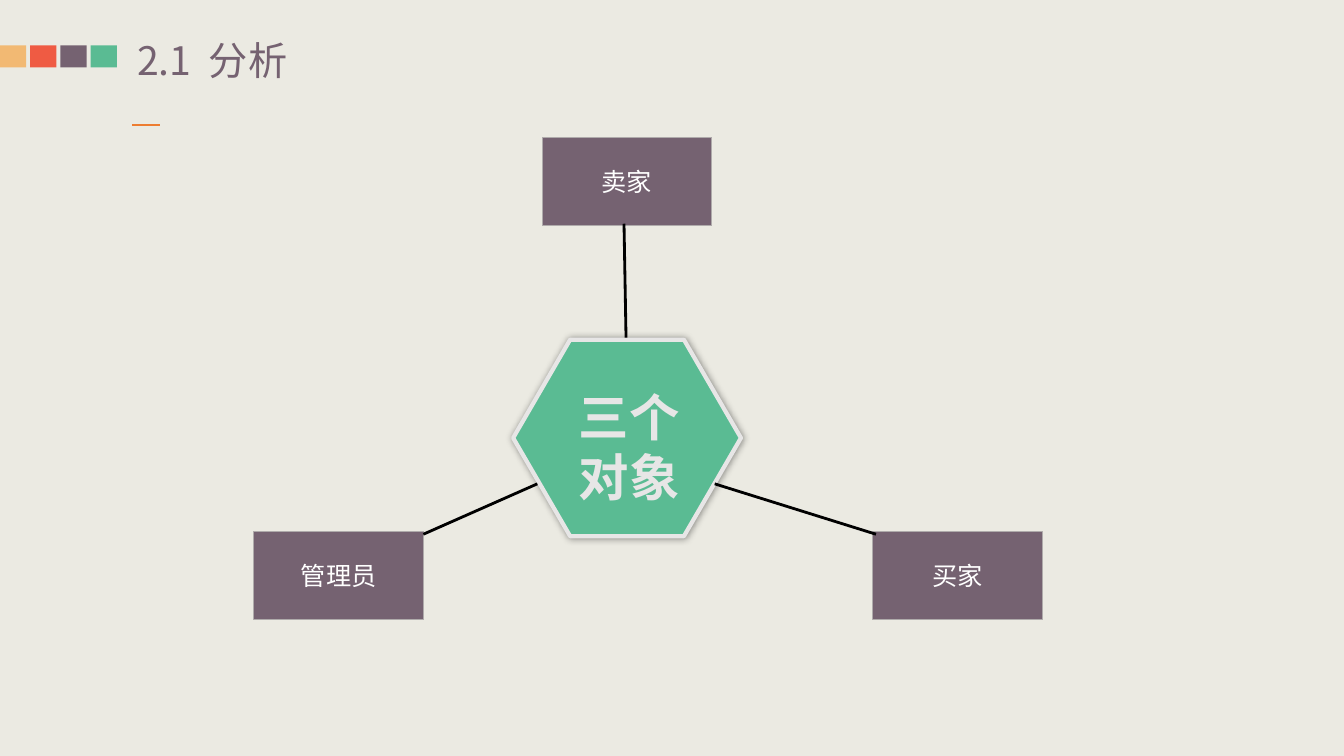
from pptx import Presentation
from pptx.dml.color import RGBColor as RGB
from pptx.enum.shapes import MSO_CONNECTOR as CONN, MSO_SHAPE as SHAPE
from pptx.enum.text import MSO_ANCHOR as ANCHOR, PP_ALIGN as ALIGN
from pptx.oxml import parse_xml
from pptx.oxml.ns import nsdecls, qn
from pptx.util import Inches, Pt
from lxml import etree

THEME = {
    "font": "Noto Sans CJK SC",
    "bg": "EBEAE2", "yellow": "F2B973", "red": "EF5B43",
    "plum": "756271", "green": "5ABB93", "orange": "ED7D31",
    "pale": "E7E6E6", "edge": "AFABAB", "white": "FFFFFF", "black": "000000",
    "title": 28, "hub": 36, "label": 18,
}

prs = Presentation()
prs.slide_width, prs.slide_height = Inches(13.33), Inches(7.5)
s = prs.slides.add_slide(prs.slide_layouts[6])
s.background.fill.solid()
s.background.fill.fore_color.rgb = RGB.from_string(THEME["bg"])


def place(*shares):
    """Turn percentages of the slide, x and y in turn, into lengths."""
    sides = (prs.slide_width, prs.slide_height)
    return [round(sides[i % 2] * v / 100) for i, v in enumerate(shares)]


def write_text(sp, *runs, size, color, bold=False, align=ALIGN.CENTER,
               anchor=ANCHOR.TOP, insets=(0.1, 0.05, 0.1, 0.05), spacing=None):
    tf = sp.text_frame
    tf.word_wrap = True
    tf.vertical_anchor = anchor
    tf.margin_left, tf.margin_top, tf.margin_right, tf.margin_bottom = map(Inches, insets)
    p = tf.paragraphs[0]
    p.alignment = align
    if spacing:
        p.line_spacing = Pt(spacing)
    for text in runs:
        r = p.add_run()
        r.text = text
        r.font.name, r.font.size, r.font.bold = THEME["font"], Pt(size), bold
        r.font.color.rgb = RGB.from_string(THEME[color])
        ea = etree.SubElement(r._r.get_or_add_rPr(), qn("a:ea"))
        ea.set("typeface", THEME["font"])
    return p


# Header squares
for i, color in enumerate(("yellow", "red", "plum", "green")):
    sp = s.shapes.add_shape(SHAPE.RECTANGLE, *place(2.25 * i, 6, 1.95, 2.93))
    sp.shadow.inherit = False
    sp.fill.solid()
    sp.fill.fore_color.rgb = RGB.from_string(THEME[color])
    sp.line.fill.background()

# Title, with a wider word gap set by character spacing
sp = s.shapes.add_textbox(*place(10.2, 4.4, 29.93, 6.27))
p = write_text(sp, "2.1", " ", "分析", size=THEME["title"], color="plum",
               align=ALIGN.LEFT, insets=(0, 0, 0, 0), spacing=36)
p.runs[1]._r.get_or_add_rPr().set("spc", "630")

# Hub hexagon with a soft shadow
hub = s.shapes.add_shape(SHAPE.HEXAGON, *place(38.18, 44.93, 16.95, 26))
hub.adjustments[0] = 0.29
hub.fill.solid()
hub.fill.fore_color.rgb = RGB.from_string(THEME["green"])
hub.line.color.rgb = RGB.from_string(THEME["pale"])
hub.line.width = Pt(3)
hub._element.spPr.append(parse_xml(
    f'<a:effectLst {nsdecls("a")}><a:outerShdw blurRad="{Pt(5)}" dist="0" dir="0" '
    f'algn="ctr" rotWithShape="0"><a:srgbClr val="{THEME["black"]}">'
    '<a:alpha val="40000"/></a:srgbClr></a:outerShdw></a:effectLst>'))
sp = s.shapes.add_textbox(*place(40.65, 49.73, 12.3, 17.47))
write_text(sp, "三个对象", size=THEME["hub"], color="pale", bold=True,
           insets=(0.1, 0.1, 0.1, 0.05), spacing=43)

# Role boxes
for text, left, top in (("卖家", 40.35, 18.13), ("买家", 64.95, 70.27), ("管理员", 18.9, 70.27)):
    sp = s.shapes.add_shape(SHAPE.RECTANGLE, *place(left, top, 12.6, 11.73))
    sp.shadow.inherit = False
    sp.fill.solid()
    sp.fill.fore_color.rgb = RGB.from_string(THEME["plum"])
    sp.line.color.rgb = RGB.from_string(THEME["edge"])
    sp.line.width = Pt(0)
    write_text(sp, text, size=THEME["label"], color="white", anchor=ANCHOR.MIDDLE)

# Title accent and the links from the hub to the roles
for ends, color, width in (
    ((9.83, 16.53, 11.93, 16.53), "orange", 1.5),
    ((46.43, 29.6, 46.58, 44.67), "black", 2),
    ((53.18, 64, 65.18, 70.67), "black", 2),
    ((39.98, 64, 31.5, 70.67), "black", 2),
):
    line = s.shapes.add_connector(CONN.STRAIGHT, *place(*ends))
    line.line.color.rgb = RGB.from_string(THEME[color])
    line.line.width = Pt(width)
    etree.SubElement(line._element.spPr, qn("a:effectLst"))

prs.save("out.pptx")
